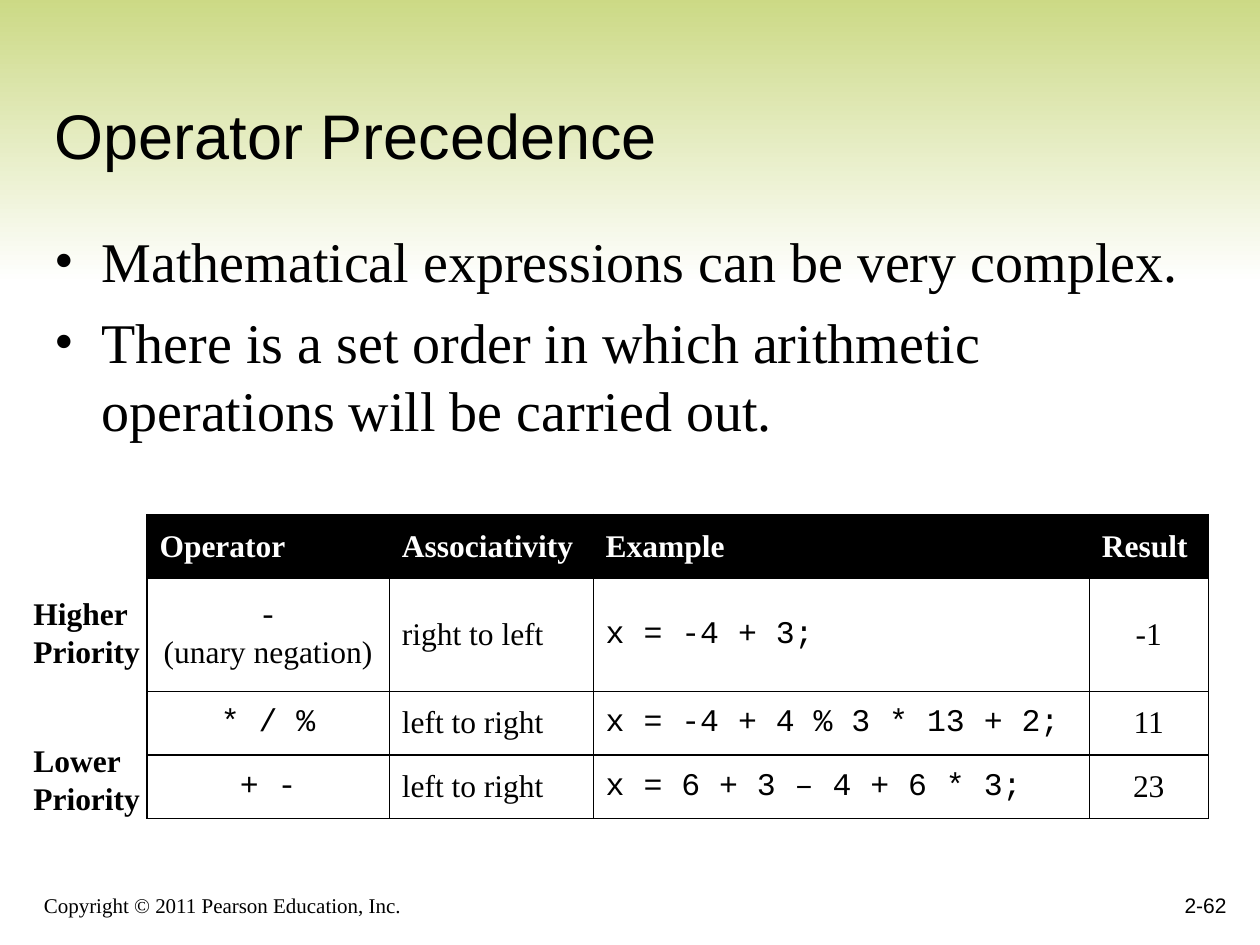
from dataclasses import dataclass

from lxml import etree
from pptx import Presentation
from pptx.dml.color import RGBColor
from pptx.enum.shapes import MSO_SHAPE
from pptx.enum.text import MSO_ANCHOR, MSO_AUTO_SIZE, PP_ALIGN
from pptx.oxml.ns import qn
from pptx.util import Pt

LEFT, CENTER, RIGHT = PP_ALIGN.LEFT, PP_ALIGN.CENTER, PP_ALIGN.RIGHT
TOP, MIDDLE, BOTTOM = MSO_ANCHOR.TOP, MSO_ANCHOR.MIDDLE, MSO_ANCHOR.BOTTOM
FIXED, GROW = MSO_AUTO_SIZE.NONE, MSO_AUTO_SIZE.SHAPE_TO_FIT_TEXT
RECTANGLE = MSO_SHAPE.RECTANGLE


@dataclass(frozen=True)
class Theme:
    ink: str = "000000"
    paper: str = "FFFFFF"
    green: str = "CAD881"
    sans: str = "Arial"
    serif: str = "Times New Roman"
    mono: str = "Courier New"
    title: int = 36
    body: int = 32
    table: int = 18
    footer: int = 12
    border: float = 0.75


def place(shape, left, top, width, height):
    shape.left, shape.top = Pt(left), Pt(top)
    shape.width, shape.height = Pt(width), Pt(height)


class PageBuilder:
    def __init__(self, page, theme):
        self.page = page
        self.theme = theme

    def style(self, para, font, size, color=None, bold=False, align=LEFT):
        para.alignment = align
        for span in para.runs:
            span.font.name = font
            span.font.size = Pt(size)
            span.font.bold = bold
            span.font.color.rgb = RGBColor.from_string(color or self.theme.ink)

    def band(self, left, top, width, height):
        """Gradient band, sent behind everything else."""
        band = self.page.shapes.add_shape(
            RECTANGLE, Pt(left), Pt(top), Pt(width), Pt(height))
        band.shadow.inherit = False
        band.line.fill.background()
        band.fill.gradient()
        band.fill.gradient_angle = 270
        colors = (self.theme.green, self.theme.paper)
        for stop, position, color in zip(band.fill.gradient_stops, (0, 1), colors):
            stop.position = position
            stop.color.rgb = RGBColor.from_string(color)
        self.page.shapes.title._element.addprevious(band._element)

    def title(self, text, *bounds):
        title = self.page.shapes.title
        place(title, *bounds)
        frame = title.text_frame
        frame.text = text
        frame.vertical_anchor = BOTTOM
        frame.auto_size = FIXED
        self.style(frame.paragraphs[0], self.theme.sans, self.theme.title)

    def text(self, text, bounds, font, size, anchor=TOP, **look):
        box = self.page.shapes.add_textbox(*map(Pt, bounds))
        frame = box.text_frame
        frame.text = text
        frame.word_wrap = True
        frame.vertical_anchor = anchor
        for para in frame.paragraphs:
            self.style(para, font, size, **look)
        return frame

    def side_label(self, text, *bounds):
        frame = self.text(text, bounds, self.theme.serif, self.theme.table, bold=True)
        frame.word_wrap = False
        frame.auto_size = GROW

    def bullets(self, lines, bounds, indent=27, gap=8):
        frame = self.text("\n".join(lines), bounds, self.theme.serif, self.theme.body)
        frame.margin_right = 0
        for number, para in enumerate(frame.paragraphs):
            properties = para._p.get_or_add_pPr()
            properties.set("marL", str(Pt(indent)))
            properties.set("indent", str(-Pt(indent)))
            etree.SubElement(properties, qn("a:buFont")).set("typeface", self.theme.serif)
            etree.SubElement(properties, qn("a:buChar")).set("char", "•")
            if number:
                para.space_before = Pt(gap)

    def cell_borders(self, cell):
        properties = cell._tc.get_or_add_tcPr()
        for index, side in enumerate(("a:lnL", "a:lnR", "a:lnT", "a:lnB")):
            line = etree.Element(qn(side), w=str(Pt(self.theme.border)))
            fill = etree.SubElement(line, qn("a:solidFill"))
            etree.SubElement(fill, qn("a:srgbClr")).set("val", self.theme.ink)
            properties.insert(index, line)

    def cell(self, cell, text, fonts, color, fill, **look):
        """Fill one cell; fonts holds one font for each line of its text."""
        cell.fill.solid()
        cell.fill.fore_color.rgb = RGBColor.from_string(fill)
        cell.vertical_anchor = MIDDLE
        para = cell.text_frame.paragraphs[0]
        para.text = text
        self.style(para, fonts[0], self.theme.table, color, **look)
        for span, font in zip(para.runs, fonts):
            span.font.name = font
        self.cell_borders(cell)

    def table(self, header, rows, left, top, widths, heights, fonts, aligns):
        theme = self.theme
        table = self.page.shapes.add_table(
            len(heights), len(widths), Pt(left), Pt(top),
            Pt(sum(widths)), Pt(sum(heights))).table
        for column, width in zip(table.columns, widths):
            column.width = Pt(width)
        for row, height in zip(table.rows, heights):
            row.height = Pt(height)
        for column, text in enumerate(header):
            self.cell(table.cell(0, column), text, [theme.serif],
                      theme.paper, theme.ink, bold=True)
        for number, row in enumerate(rows, start=1):
            for column, text in enumerate(row):
                self.cell(table.cell(number, column), text, fonts[column],
                          theme.ink, theme.paper, align=aligns[column])


def main():
    deck = Presentation()
    deck.slide_width, deck.slide_height = Pt(720), Pt(540)
    theme = Theme()
    builder = PageBuilder(deck.slides.add_slide(deck.slide_layouts[5]), theme)

    builder.band(0, -6, 720, 168)
    builder.title("Operator Precedence", 24, 24, 678, 78)
    builder.text("Copyright © 2011 Pearson Education, Inc.", (18, 498, 438, 30),
                 theme.serif, theme.footer, BOTTOM)
    builder.text("2-62", (558, 492, 150, 36), theme.sans, theme.footer, BOTTOM,
                 align=RIGHT)
    builder.bullets(
        ["Mathematical expressions can be very complex.",
         "There is a set order in which arithmetic operations will be carried out."],
        (24, 126, 653, 360))
    for level, top in (("Higher", 336), ("Lower", 420)):
        builder.side_label(f"{level}\nPriority", 12, top, 76, 50)
    builder.table(
        ["Operator", "Associativity", "Example", "Result"],
        [["-\v(unary negation)", "right to left", "x = -4 + 3;", "-1"],
         ["* / %", "left to right", "x = -4 + 4 % 3 * 13 + 2;", "11"],
         ["+ -", "left to right", "x = 6 + 3 – 4 + 6 * 3;", "23"]],
        left=84, top=294, widths=[138.5, 116.5, 283.5, 68],
        heights=[36.5, 64.5, 36.5, 36.5],
        fonts=[[theme.mono, theme.serif], [theme.serif], [theme.mono], [theme.serif]],
        aligns=[CENTER, LEFT, LEFT, CENTER])

    deck.save("out.pptx")


if __name__ == "__main__":
    main()
